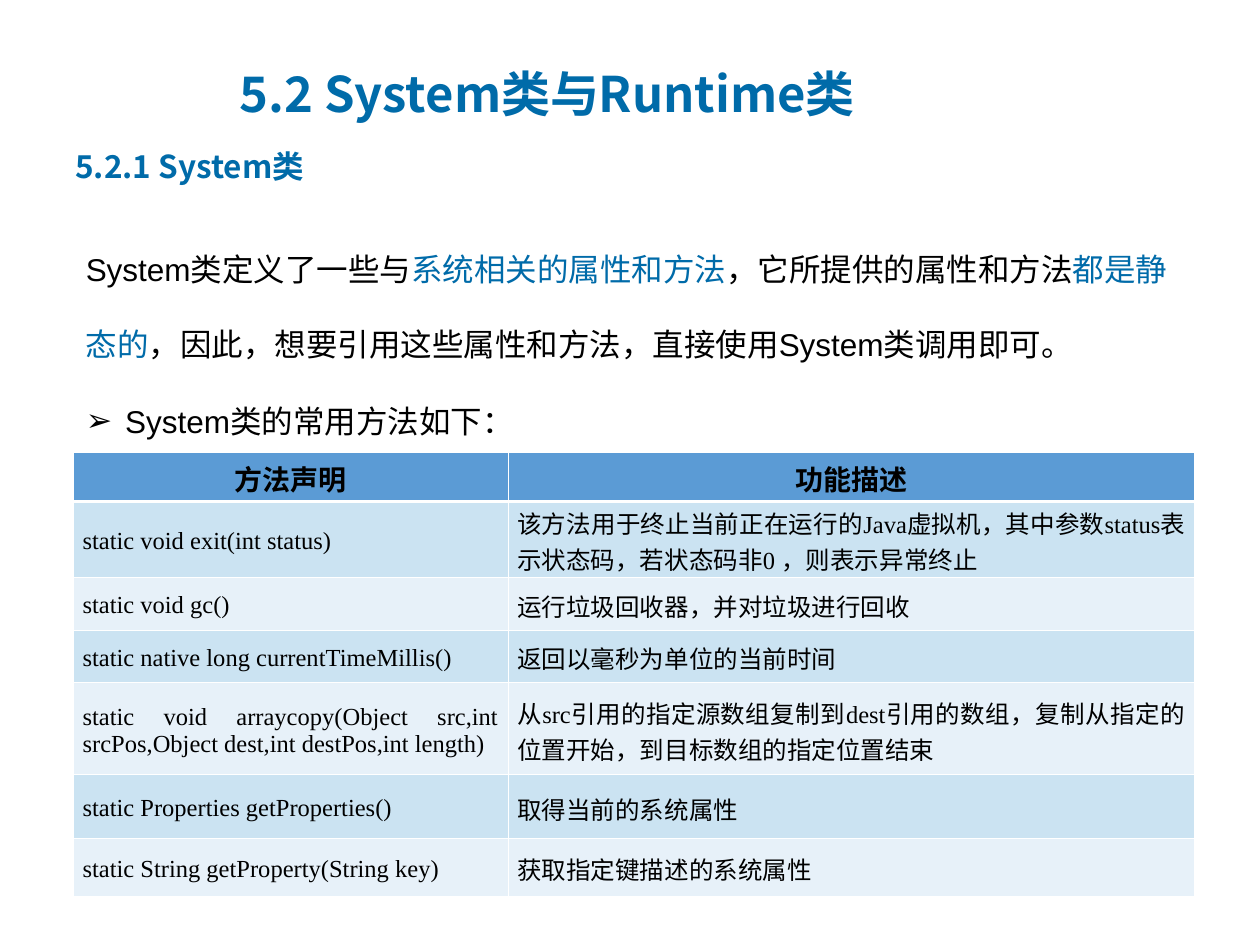
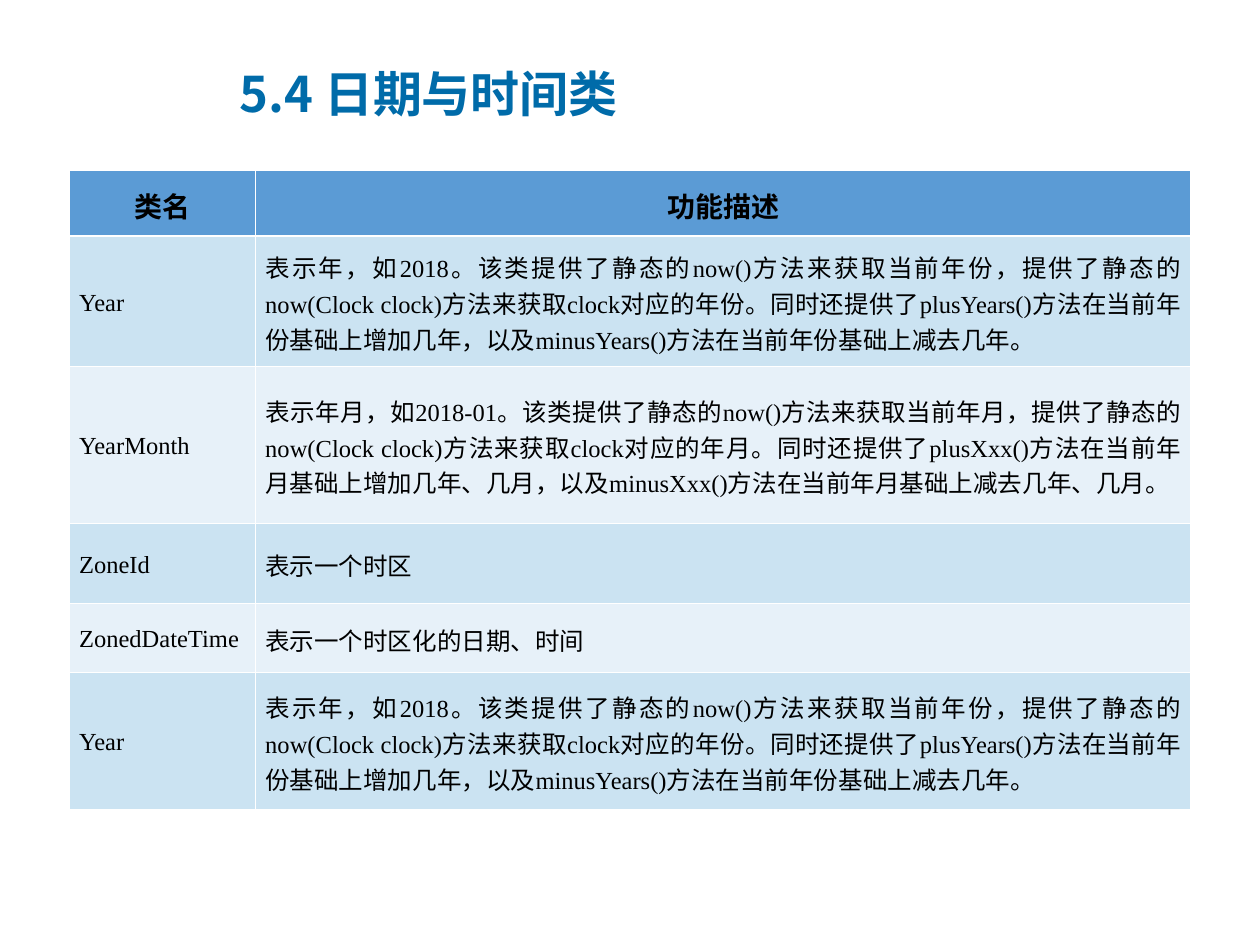
from lxml import etree
from pptx import Presentation
from pptx.dml.color import RGBColor
from pptx.enum import text
from pptx.oxml import ns
from pptx.util import Pt

COLORS = {"accent": "006BA9", "text": "000000", "header": "5B9BD5",
          "odd_row": "CBE3F2", "even_row": "E7F1F9", "border": "FFFFFF"}
EAST_ASIAN_FONT = "Noto Sans CJK SC"
TITLE_BOX = (129.6, 31, 420, 44)
THIN, THICK = 0.45, 1.47

SYSTEM_TITLE = "5.2 System类与Runtime类"
SYSTEM_HEADING = "5.2.1 System类"
SYSTEM_INTRO = [
    ("System类定义了一些与", "text"),
    ("系统相关的属性和方法", "accent"),
    ("，它所提供的属性和方法", "text"),
    ("都是静态的", "accent"),
    ("，因此，想要引用这些属性和方法，直接使用System类调用即可。", "text"),
]
SYSTEM_LEAD = "System类的常用方法如下："
SYSTEM_METHODS = [
    ("方法声明", "功能描述"),
    ("static void exit(int status)",
     "该方法用于终止当前正在运行的Java虚拟机，其中参数status表示状态码，若状态码非0 ，则表示异常终止"),
    ("static void gc()", "运行垃圾回收器，并对垃圾进行回收"),
    ("static native long currentTimeMillis()", "返回以毫秒为单位的当前时间"),
    ("static void arraycopy(Object src,int srcPos,Object dest,int destPos,int length)",
     "从src引用的指定源数组复制到dest引用的数组，复制从指定的位置开始，到目标数组的指定位置结束"),
    ("static Properties getProperties()", "取得当前的系统属性"),
    ("static String getProperty(String key)", "获取指定键描述的系统属性"),
]

DATE_TITLE = "5.4 日期与时间类"
YEAR_ROW = ("Year", "表示年，如2018。该类提供了静态的now()方法来获取当前年份，"
            "提供了静态的now(Clock clock)方法来获取clock对应的年份。"
            "同时还提供了plusYears()方法在当前年份基础上增加几年，"
            "以及minusYears()方法在当前年份基础上减去几年。")
DATE_CLASSES = [
    ("类名", "功能描述"),
    YEAR_ROW,
    ("YearMonth", "表示年月，如2018-01。该类提供了静态的now()方法来获取当前年月，"
     "提供了静态的now(Clock clock)方法来获取clock对应的年月。"
     "同时还提供了plusXxx()方法在当前年月基础上增加几年、几月，"
     "以及minusXxx()方法在当前年月基础上减去几年、几月。"),
    ("ZoneId", "表示一个时区"),
    ("ZonedDateTime", "表示一个时区化的日期、时间"),
    YEAR_ROW,
]


def place(shape, box):
    shape.left, shape.top, shape.width, shape.height = map(Pt, box)
    frame = shape.text_frame
    frame.word_wrap = True
    frame.auto_size = text.MSO_AUTO_SIZE.NONE
    frame.vertical_anchor = text.MSO_ANCHOR.TOP
    return frame


def format_run(run, size, font_name, color="text", bold=False):
    font = run.font
    font.size, font.name, font.bold = Pt(size), font_name, bold
    font.color.rgb = RGBColor.from_string(COLORS[color])
    east_asian = etree.Element(ns.qn("a:ea"), typeface=EAST_ASIAN_FONT)
    run._r.rPr.find(ns.qn("a:latin")).addnext(east_asian)


def add_title(slide, title):
    frame = place(slide.shapes.title, TITLE_BOX)
    frame.vertical_anchor = text.MSO_ANCHOR.MIDDLE
    frame.text = title
    paragraph = frame.paragraphs[0]
    paragraph.alignment = text.PP_ALIGN.LEFT
    format_run(paragraph.runs[0], 28, EAST_ASIAN_FONT, "accent", True)


def add_heading(slide, heading, box):
    frame = place(slide.shapes.add_textbox(*map(Pt, box)), box)
    frame.margin_top = 0
    frame.text = heading
    format_run(frame.paragraphs[0].runs[0], 18, EAST_ASIAN_FONT, "accent", True)


def fill_body(placeholder, box, runs, bullet=None):
    paragraph = place(placeholder, box).paragraphs[0]
    indent = Pt(22.5) if bullet else 0
    properties = paragraph._p.get_or_add_pPr()
    properties.set("marL", str(indent))
    properties.set("indent", str(-indent))
    if bullet:
        bullet_color = etree.SubElement(properties, ns.qn("a:buClr"))
        etree.SubElement(bullet_color, ns.qn("a:srgbClr"), val=COLORS["text"])
        etree.SubElement(properties, ns.qn("a:buChar"), char=bullet)
    else:
        etree.SubElement(properties, ns.qn("a:buNone"))
    paragraph.line_spacing = 2.0
    paragraph.space_before = Pt(0)
    for words, color in runs:
        run = paragraph.add_run()
        run.text = words
        format_run(run, 18, "Arial", color)


def add_borders(cell, row_index):
    widths = {"L": THIN, "R": THIN,
              "T": THICK if row_index == 1 else THIN,
              "B": THICK if row_index == 0 else THIN}
    properties = cell._tc.get_or_add_tcPr()
    for side, width in widths.items():
        line = etree.SubElement(properties, ns.qn(f"a:ln{side}"), w=str(Pt(width)))
        fill = etree.SubElement(line, ns.qn("a:solidFill"))
        etree.SubElement(fill, ns.qn("a:srgbClr"), val=COLORS["border"])


def format_cell(cell, words, row_index, header_font):
    header = row_index == 0
    add_borders(cell, row_index)
    fill_name = "header" if header else "odd_row" if row_index % 2 else "even_row"
    cell.fill.solid()
    cell.fill.fore_color.rgb = RGBColor.from_string(COLORS[fill_name])
    cell.vertical_anchor = text.MSO_ANCHOR.MIDDLE
    cell.margin_left = cell.margin_right = Pt(5.4)
    cell.margin_top, cell.margin_bottom = Pt(2), 0
    cell.text_frame.text = words
    paragraph = cell.text_frame.paragraphs[0]
    paragraph.alignment = text.PP_ALIGN.CENTER if header else text.PP_ALIGN.JUSTIFY
    format_run(paragraph.runs[0], 16 if header else 14,
               header_font if header else "Times New Roman", bold=header)


def add_class_table(slide, rows, left, top, column_widths, row_heights, header_font):
    table = slide.shapes.add_table(
        len(rows), len(column_widths), Pt(left), Pt(top),
        Pt(sum(column_widths)), Pt(sum(row_heights))).table
    table.horz_banding = False
    for column, width in zip(table.columns, column_widths):
        column.width = Pt(width)
    for row_index, (row, height) in enumerate(zip(rows, row_heights)):
        table.rows[row_index].height = Pt(height)
        for column_index, words in enumerate(row):
            format_cell(table.cell(row_index, column_index), words, row_index, header_font)


def build_system_slide(presentation):
    slide = presentation.slides.add_slide(presentation.slide_layouts[3])
    add_title(slide, SYSTEM_TITLE)
    add_heading(slide, SYSTEM_HEADING, (36, 84.2, 648, 51))
    intro, lead = list(slide.placeholders)[1:3]
    fill_body(intro, (41.8, 117.4, 636.5, 93.6), SYSTEM_INTRO)
    fill_body(lead, (41.8, 204.5, 642, 50.4), [(SYSTEM_LEAD, "text")], "➢")
    add_class_table(slide, SYSTEM_METHODS, 41.8, 258.6, (248.4, 392.4),
                    (28, 43.2, 30.2, 30.2, 52.6, 36.4, 32.8), "Calibri")


def build_date_slide(presentation):
    slide = presentation.slides.add_slide(presentation.slide_layouts[5])
    add_title(slide, DATE_TITLE)
    add_class_table(slide, DATE_CLASSES, 39.8, 97.4, (106.4, 534.2),
                    (37.4, 74.6, 89.6, 45.6, 39.6, 78.6), "Times New Roman")


def main():
    presentation = Presentation()
    presentation.slide_width, presentation.slide_height = Pt(720), Pt(540)
    build_system_slide(presentation)
    build_date_slide(presentation)
    presentation.save("out.pptx")


if __name__ == "__main__":
    main()
